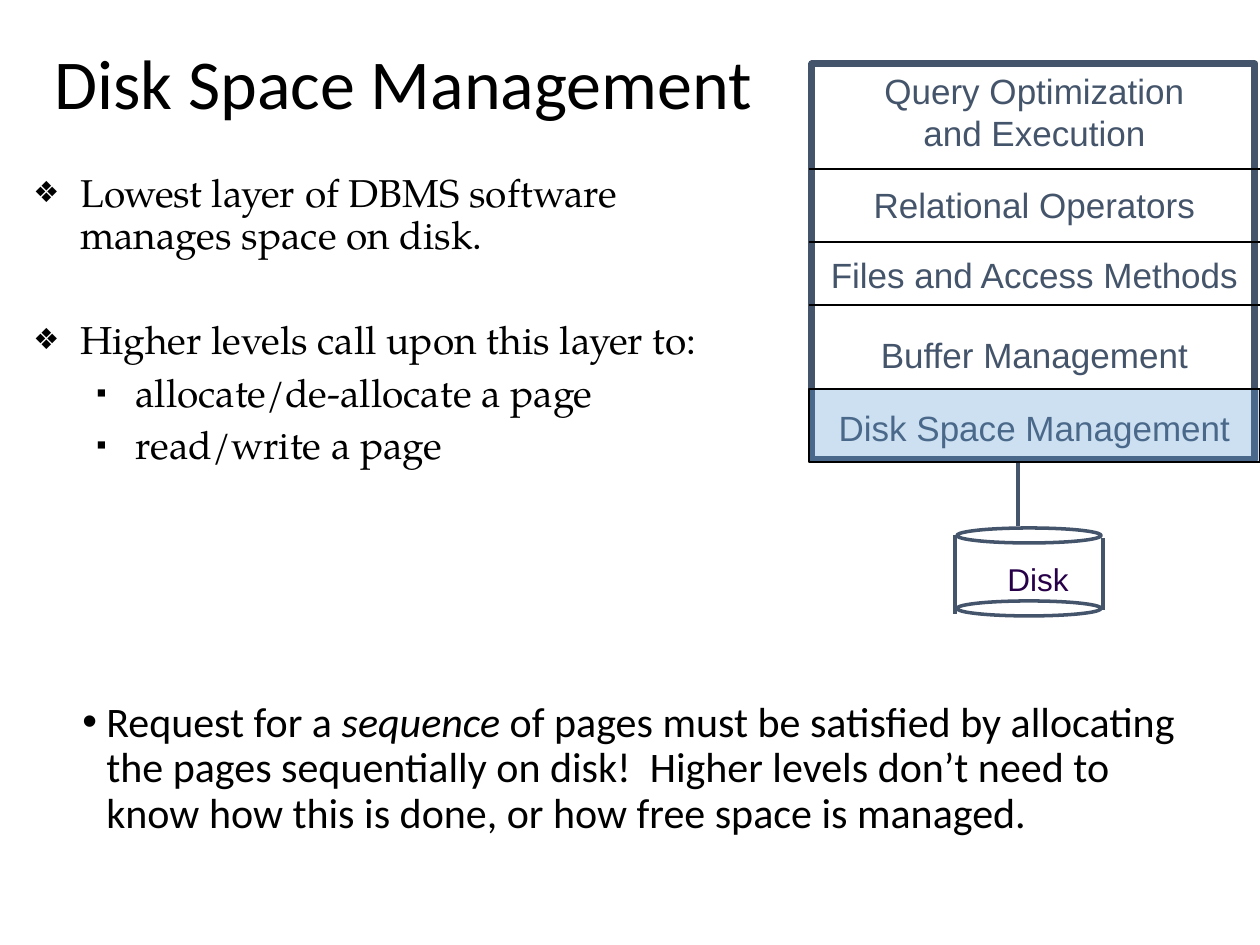
from dataclasses import dataclass
from typing import NamedTuple

from lxml import etree
from pptx import Presentation
from pptx import util as u
from pptx.dml.color import RGBColor
from pptx.enum import shapes, text
from pptx.oxml.ns import qn

SCALE = 914400 / 126  # EMU in one px


@dataclass(frozen=True)
class Theme:
    ink: str = "000000"
    slate: str = "44546A"
    plum: str = "280049"
    glow: str = "5B9BD5"
    title: float = 40
    note: float = 24
    body: float = 22.2
    layer: float = 20
    disk: float = 18
    sans: str = "Calibri"
    label: str = "Arial"
    serif: str = "TeX Gyre Pagella"


class Box(NamedTuple):
    x: int
    y: int
    w: int
    h: int


class Bullet(NamedTuple):
    sign: str
    left: int  # px
    hang: int  # px
    size: int = 100  # percent of the text


class Para(NamedTuple):
    runs: list  # every second run is italic
    bullet: Bullet = None
    before: float = 0
    level: int = 0


class Layer(NamedTuple):
    lines: list
    y: int


class Line(NamedTuple):
    x1: int
    y1: int
    x2: int
    y2: int


T = Theme()


def px(n: float) -> int:
    return round(n * SCALE)


def rgb(tone: str) -> RGBColor:
    return RGBColor.from_string(tone)


def mark(par, bullet: Bullet) -> None:
    props = par._p.get_or_add_pPr()
    props.set("marL", str(px(bullet.left)))
    props.set("indent", str(px(-bullet.hang)))
    tint = etree.SubElement(props, qn("a:buClr"))
    etree.SubElement(tint, qn("a:srgbClr"), val=T.ink)
    etree.SubElement(props, qn("a:buSzPct"), val=str(bullet.size * 1000))
    etree.SubElement(props, qn("a:buFont"), typeface=T.label)
    etree.SubElement(props, qn("a:buChar"), char=bullet.sign)


def write(slide, box: Box, paras: list, face: str, size: float, tone: str = T.ink,
          align=text.PP_ALIGN.LEFT, lead: float = 1, wrap: bool = True,
          anchor=text.MSO_ANCHOR.TOP) -> None:
    frame = slide.shapes.add_textbox(*map(px, box)).text_frame
    frame.word_wrap = wrap
    frame.vertical_anchor = anchor
    for i, item in enumerate(paras):
        par = frame.add_paragraph() if i else frame.paragraphs[0]
        if item.bullet:
            mark(par, item.bullet)
        par.level = item.level
        par.alignment = align
        par.line_spacing = lead
        par.space_before = u.Pt(item.before)
        par.font.name, par.font.size = face, u.Pt(size)
        par.font.color.rgb = rgb(tone)
        for j, words in enumerate(item.runs):
            run = par.add_run()
            run.text = words
            if j % 2:
                run.font.italic = True


def rule(slide, line: Line, tone: str, width: float) -> None:
    link = slide.shapes.add_connector(shapes.MSO_CONNECTOR.STRAIGHT, *map(px, line))
    link.line.color.rgb = rgb(tone)
    link.line.width = u.Pt(width)
    etree.SubElement(link._element.spPr, qn("a:effectLst"))


def draw(slide, kind, box: Box, tone: str, width: float,
         fill: str = None, alpha: int = 100) -> None:
    shape = slide.shapes.add_shape(kind, *map(px, box))
    shape.shadow.inherit = False
    shape.line.color.rgb = rgb(tone)
    shape.line.width = u.Pt(width)
    if fill is None:
        shape.fill.background()
        return
    shape.fill.solid()
    shape.fill.fore_color.rgb = rgb(fill)
    tint = shape._element.spPr.find(qn("a:solidFill"))[0]
    etree.SubElement(tint, qn("a:alpha"), val=str(alpha * 1000))


LEFT, RIGHT = 809, 1260  # edges of the stack
LAYERS = [
    Layer(["Query Optimization", "and Execution"], 63),
    Layer(["Relational Operators"], 177),
    Layer(["Files and Access Methods"], 247),
    Layer(["Buffer Management"], 327),
    Layer(["Disk Space Management"], 400),
]
MAIN = Bullet("❖", 47, 47, 75)
SUB = Bullet("▪", 102, 39, 75)
POINTS = [
    Para(["Lowest layer of DBMS software manages space on disk."], MAIN),
    Para(["Higher levels call upon this layer to:"], MAIN, 36),
    Para(["allocate/de-allocate a page"], SUB, 6, 1),
    Para(["read/write a page"], SUB, 6, 1),
]
NOTE = Para(["Request for a ", "sequence",
             " of pages must be satisfied by allocating the pages sequentially on disk!"
             "  Higher levels don’t need to know how this is done, "
             "or how free space is managed."], Bullet("•", 24, 24))


def main() -> None:
    deck = Presentation()
    deck.slide_width, deck.slide_height = px(1260), px(945)
    slide = deck.slides.add_slide(deck.slide_layouts[6])
    kinds = shapes.MSO_SHAPE

    # Title and closing note
    write(slide, Box(42, 11, 1071, 152), [Para(["Disk Space Management"])],
          T.sans, T.title, lead=0.9, anchor=text.MSO_ANCHOR.MIDDLE)
    write(slide, Box(70, 695, 1124, 173), [NOTE], T.sans, T.note, lead=0.9)

    # Layer stack: each label spans the full width, so it stays on its lines
    for layer in LAYERS:
        box = Box(LEFT, layer.y, RIGHT - LEFT, 12 + 42 * len(layer.lines))
        write(slide, box, [Para([words]) for words in layer.lines], T.label, T.layer,
              T.slate, text.PP_ALIGN.CENTER)
    draw(slide, kinds.RECTANGLE, Box(812, 64, 443, 396), T.slate, 4)
    for y in (169, 242, 305, 389):
        rule(slide, Line(LEFT, y, RIGHT, y), T.ink, 1)

    # Disk drum and its link to the stack
    for y in (528, 601):
        draw(slide, kinds.OVAL, Box(957, y, 144, 15), T.slate, 2)
    for line in (Line(955, 535, 955, 614), Line(1103, 538, 1103, 610),
                 Line(1018, 462, 1018, 526)):
        rule(slide, line, T.slate, 2)
    write(slide, Box(995, 554, 86, 50), [Para(["Disk"])], T.label, T.disk,
          T.plum, wrap=False)

    # Points
    write(slide, Box(21, 168, 766, 388), POINTS, T.serif, T.body, lead=0.9)

    # Highlight on the lowest layer
    draw(slide, kinds.RECTANGLE, Box(LEFT, 389, RIGHT - LEFT, 73), T.ink, 1, T.glow, 30)

    deck.save("out.pptx")


if __name__ == "__main__":
    main()
